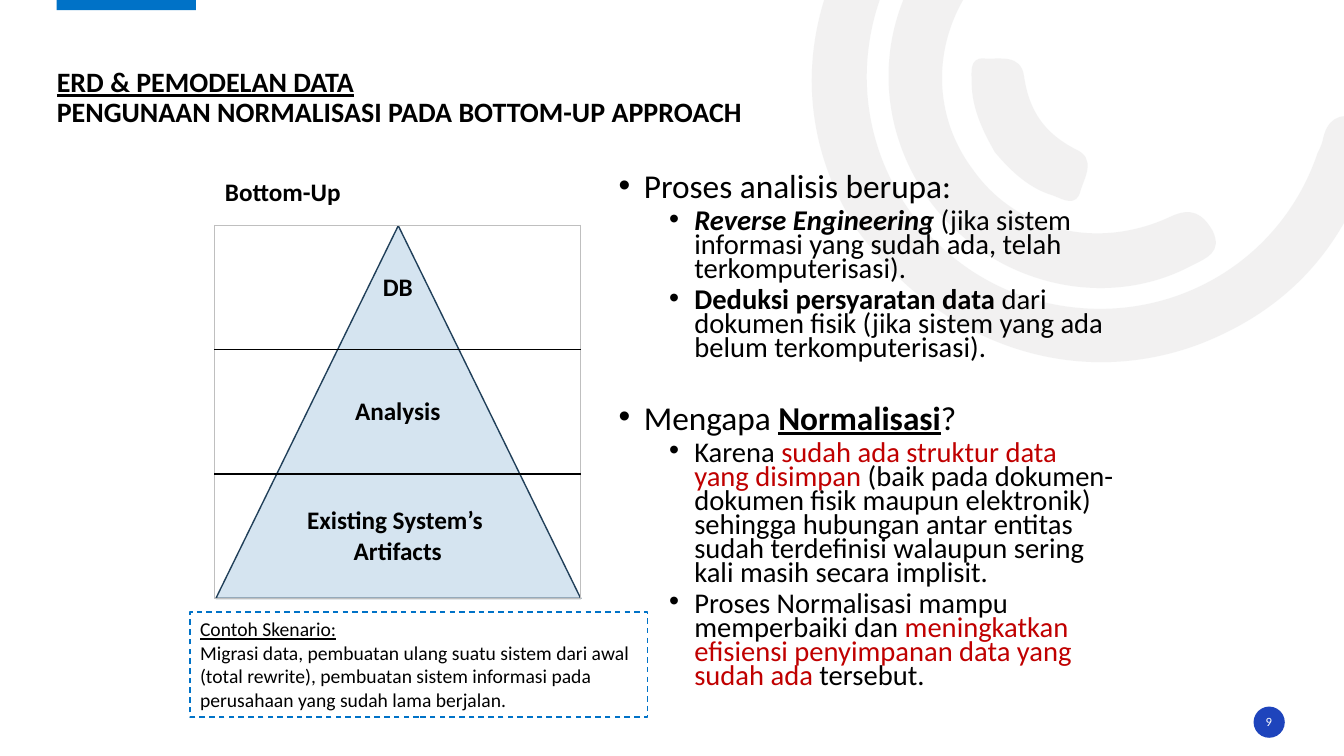
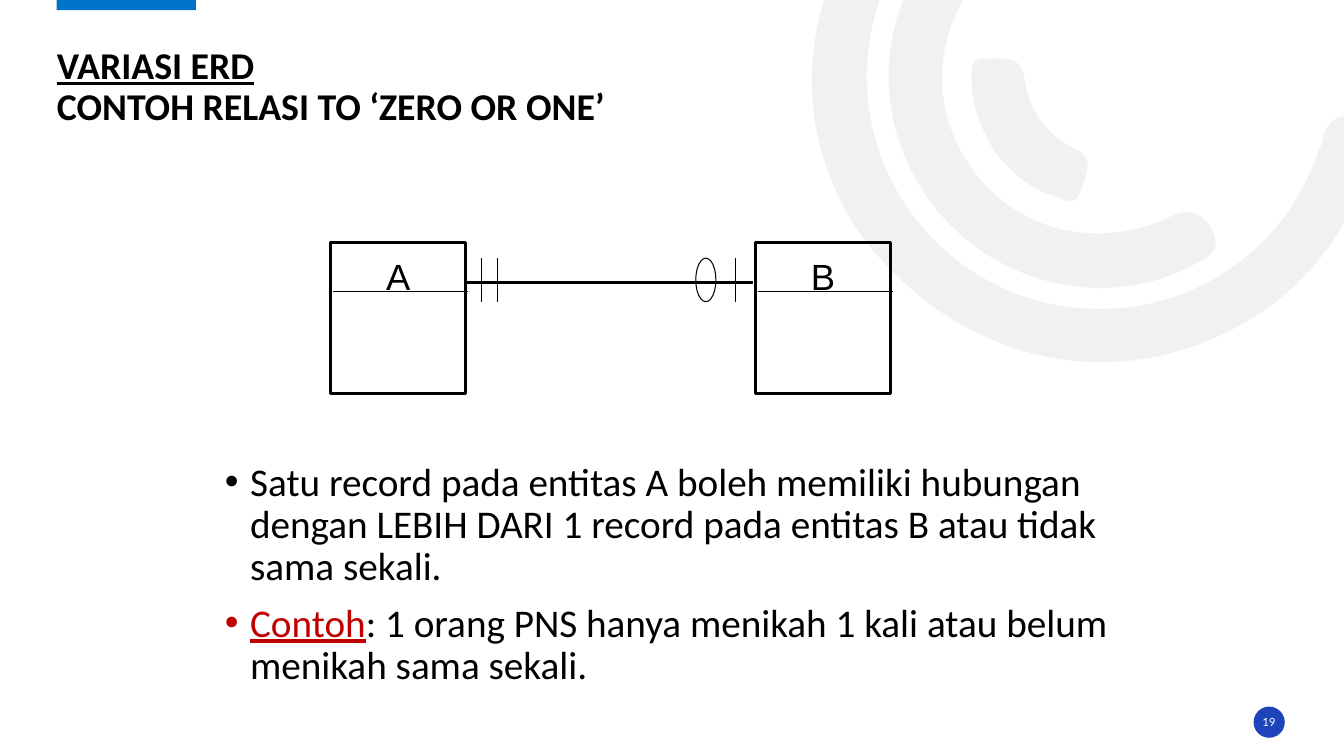
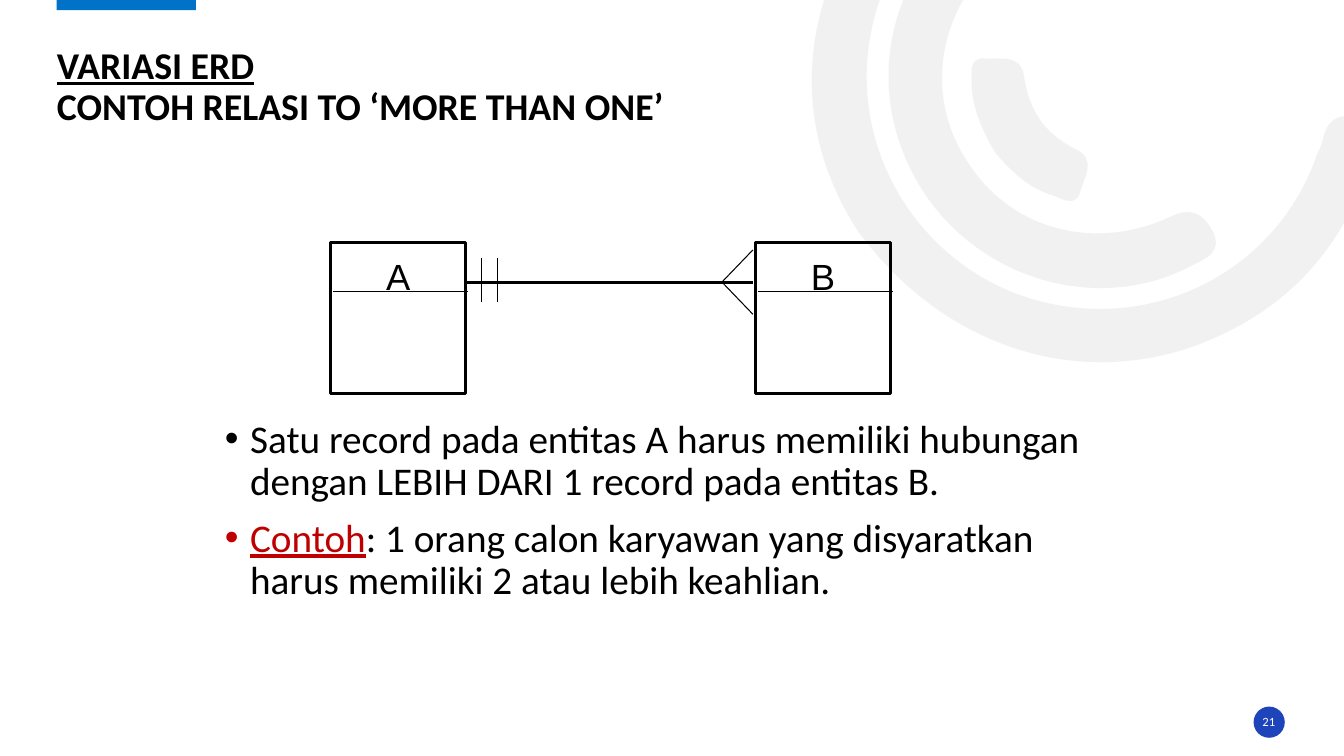
"""Build three lecture slides on data modelling and ERD cardinality."""
from copy import deepcopy
from dataclasses import dataclass
from math import cos, radians, sin
from typing import Any, NamedTuple

from lxml import etree
from pptx import Presentation
from pptx.dml.color import RGBColor
from pptx.enum.dml import MSO_LINE
from pptx.enum.shapes import MSO_CONNECTOR, MSO_SHAPE
from pptx.enum.text import MSO_ANCHOR, MSO_AUTO_SIZE, PP_ALIGN
from pptx.oxml.ns import qn
from pptx.util import Pt

BLACK = RGBColor(0x00, 0x00, 0x00)
WHITE = RGBColor(0xFF, 0xFF, 0xFF)
RED = RGBColor(0xC0, 0x00, 0x00)
BLUE = RGBColor(0x00, 0x72, 0xC7)
BADGE_BLUE = RGBColor(0x1E, 0x44, 0xBC)
RING_GRAY = RGBColor(0xE7, 0xE6, 0xE6)
PALE_BLUE = RGBColor(0xD5, 0xE4, 0xF0)
NAVY = RGBColor(0x21, 0x40, 0x5A)
BORDER_GRAY = RGBColor(0xBF, 0xBF, 0xBF)

RECTANGLE, ELLIPSE, TRIANGLE = MSO_SHAPE.RECTANGLE, MSO_SHAPE.OVAL, MSO_SHAPE.ISOSCELES_TRIANGLE
STRAIGHT, DASH = MSO_CONNECTOR.STRAIGHT, MSO_LINE.DASH
NO_AUTOFIT, FIT_SHAPE = MSO_AUTO_SIZE.NONE, MSO_AUTO_SIZE.SHAPE_TO_FIT_TEXT
TOP, MIDDLE, BOTTOM = MSO_ANCHOR.TOP, MSO_ANCHOR.MIDDLE, MSO_ANCHOR.BOTTOM
LEFT, CENTER = PP_ALIGN.LEFT, PP_ALIGN.CENTER

TITLE_ONLY = 5
FONT, ENTITY_FONT = "Calibri", "Arial"
POINTS_PER_INCH = 72
RING_OPACITY = "53000"
RING_ROTATION = 144.2
THIN, THICK = 0.75, 2.25
NO_MARGINS = dict.fromkeys(("margin_left", "margin_top", "margin_right", "margin_bottom"), 0)


class Box(NamedTuple):
    """A rectangle in points."""
    left: float
    top: float
    width: float
    height: float

    def lengths(self) -> tuple:
        """Return the four values as lengths."""
        return tuple(Pt(value) for value in self)


class Segment(NamedTuple):
    """A straight line in points."""
    start_x: float
    start_y: float
    end_x: float
    end_y: float
    width: float = THIN


class Ring(NamedTuple):
    """A rotated outline: its unrotated box, and its drawn cubic curves in inches."""
    box: Box
    start: tuple
    curves: tuple


@dataclass(frozen=True)
class Words:
    """A stretch of text with one look."""
    text: str
    bold: bool = False
    italic: bool = False
    underline: bool = False
    color: RGBColor = BLACK


@dataclass(frozen=True)
class Bullet:
    """A bulleted paragraph."""
    words: tuple[Words, ...]
    size: float = 28
    level: int = 0
    spacing: float = 0.9
    before: float = 10


@dataclass(frozen=True)
class RelationSlide:
    """One slide showing a relation between two entities."""
    number: str
    title: str
    body: Box
    bullets: tuple[Bullet, ...]
    marks: tuple[Segment, ...]
    circle: Box | None = None


BAND = Box(40.5, -1.4, 99.4, 8.6)
BADGE = Box(895.4, 504.7, 22.3, 22.3)
BADGE_TEXT = Box(894.8, 508.3, 23, 14.4)
TITLE = Box(40.6, 19.4, 877.7, 72.7)
PYRAMID = Box(154.2, 161.2, 260.6, 266.2)
PYRAMID_TABLE = Box(153.4, 161, 261.4, 266.4)
ENTITY_TOP, ENTITY_WIDTH, ENTITY_HEIGHT = 173.5, 96.5, 107.3
ENTITIES = {"A": 236.2, "B": 539.7}
HEADER_Y = 207.9
RELATION_Y, TICK_TOP, TICK_BOTTOM = 201.5, 184.4, 215.5
RELATION_END = 537.8
CROW_X, CROW_SPREAD = 515.7, 23

RINGS = (
    Ring(Box(585.4, -145.4, 349.2, 432), (8.51, 2.29), (
        (7.99, 1.49, 7.87, 0.5, 8.38, -0.5), (8.9, -1.52, 9.76, -2.03, 10.9, -2.07),
        (11.05, -2.07, 11.21, -2.1, 11.31, -1.95), (11.44, -1.75, 11.27, -1.54, 10.98, -1.54),
        (9.67, -1.54, 8.65, -0.59, 8.6, 0.68), (8.56, 1.81, 9.36, 2.81, 10.46, 3.02),
        (11.6, 3.24, 12.7, 2.61, 13.07, 1.52), (13.09, 1.48, 13.11, 1.44, 13.12, 1.4),
        (13.16, 1.19, 13.27, 1.11, 13.49, 1.17), (13.73, 1.24, 13.67, 1.41, 13.61, 1.56),
        (13.34, 2.45, 12.78, 3.07, 11.91, 3.41), (10.7, 3.87, 9.36, 3.45, 8.51, 2.29))),
    Ring(Box(648.7, -56.2, 153.4, 306.7), (9.22, 1.99), (
        (8.62, 1.15, 8.69, 0.07, 9.4, -0.68), (9.51, -0.79, 9.62, -0.95, 9.8, -0.78),
        (9.95, -0.64, 9.97, -0.5, 9.79, -0.32), (9.25, 0.26, 9.2, 1.08, 9.65, 1.68),
        (10.08, 2.29, 10.88, 2.49, 11.61, 2.15), (11.82, 2.05, 11.93, 2.12, 12.03, 2.29),
        (12.13, 2.5, 11.97, 2.56, 11.83, 2.63), (10.96, 3.1, 9.83, 2.82, 9.22, 1.99))),
    Ring(Box(705.6, 26.6, 56.2, 131.8), (9.87, 1.51), (
        (9.75, 1.3, 9.64, 1.07, 9.64, 0.82), (9.64, 0.73, 9.61, 0.57, 9.76, 0.58),
        (9.92, 0.59, 10.13, 0.53, 10.16, 0.76), (10.21, 1.1, 10.36, 1.32, 10.67, 1.48),
        (10.88, 1.57, 10.76, 1.76, 10.72, 1.89), (10.68, 2.06, 10.55, 1.98, 10.45, 1.94),
        (10.21, 1.87, 10.03, 1.7, 9.87, 1.51))),
)

MAIN_POINT = {"size": 23.8, "spacing": 0.7}
SUB_POINT = {"size": 20.4, "level": 1, "spacing": 0.7, "before": 5}
NORMALISATION_BULLETS = (
    Bullet((Words("Proses analisis berupa:"),), **MAIN_POINT),
    Bullet((Words("Reverse Engineering ", bold=True, italic=True),
            Words("(jika sistem informasi yang sudah ada, telah terkomputerisasi).")), **SUB_POINT),
    Bullet((Words("Deduksi persyaratan data ", bold=True),
            Words("dari dokumen fisik (jika sistem yang ada belum terkomputerisasi).")), **SUB_POINT),
    Bullet((Words("Mengapa "), Words("Normalisasi", bold=True, underline=True), Words("?")),
           before=32.4, **MAIN_POINT),
    Bullet((Words("Karena "), Words("sudah ada struktur data yang disimpan ", color=RED),
            Words("(baik pada dokumen-dokumen fisik maupun elektronik) sehingga hubungan antar "
                  "entitas sudah terdefinisi walaupun sering kali masih secara implisit.")), **SUB_POINT),
    Bullet((Words("Proses Normalisasi mampu memperbaiki dan "),
            Words("meningkatkan efisiensi penyimpanan data yang sudah ada", color=RED),
            Words(" tersebut.")), **SUB_POINT),
)
EXAMPLE = Words("Contoh", underline=True, color=RED)
RELATION_SLIDES = (
    RelationSlide(
        "19", "CONTOH RELASI TO ‘ZERO OR ONE’", Box(153.6, 326.7, 648, 158.4),
        (Bullet((Words("Satu record pada entitas A boleh memiliki hubungan dengan LEBIH DARI 1 "
                       "record pada entitas B atau tidak sama sekali."),)),
         Bullet((EXAMPLE, Words(": 1 orang PNS hanya menikah 1 kali atau belum menikah sama sekali.")))),
        (Segment(525.6, TICK_TOP, 525.6, TICK_BOTTOM),),
        Box(497, TICK_TOP, 14.4, TICK_BOTTOM - TICK_TOP)),
    RelationSlide(
        "21", "CONTOH RELASI TO ‘MORE THAN ONE’", Box(153.6, 296.1, 648, 189.4),
        (Bullet((Words("Satu record pada entitas A harus memiliki hubungan dengan LEBIH DARI 1 "
                       "record pada entitas B."),)),
         Bullet((EXAMPLE, Words(": 1 orang calon karyawan yang disyaratkan harus memiliki 2 atau "
                                "lebih keahlian.")))),
        tuple(Segment(CROW_X, RELATION_Y, RELATION_END, RELATION_Y + spread)
              for spread in (-CROW_SPREAD, CROW_SPREAD))),
)


def apply_format(target: Any, values: dict[str, Any]) -> None:
    """Set each named attribute on the target."""
    for name, value in values.items():
        setattr(target, name, value)


def place(shape: Any, box: Box) -> None:
    """Move and size a shape."""
    apply_format(shape, dict(zip(("left", "top", "width", "height"), box.lengths())))


def add_words(paragraph: Any, words: Words, size: float, font: str = FONT) -> Any:
    """Append a formatted run to a paragraph."""
    run = paragraph.add_run()
    run.text = words.text
    apply_format(run.font, {"name": font, "size": Pt(size), "bold": words.bold,
                            "italic": words.italic, "underline": words.underline})
    run.font.color.rgb = words.color
    return run


def write_lines(frame: Any, lines: tuple[Words, ...], size: float,
                align: PP_ALIGN = LEFT, font: str = FONT) -> None:
    """Write one paragraph for each line."""
    for index, words in enumerate(lines):
        paragraph = frame.add_paragraph() if index else frame.paragraphs[0]
        paragraph.alignment = align
        add_words(paragraph, words, size, font)


def style_shape(shape: Any, fill: RGBColor | None = None, line: RGBColor | None = None,
                width: float = 1) -> Any:
    """Give a shape its fill and line, without a shadow."""
    shape.shadow.inherit = False
    for part, color in ((shape.fill, fill), (shape.line.fill, line)):
        if color is None:
            part.background()
        else:
            part.solid()
            part.fore_color.rgb = color
    if line is not None:
        shape.line.width = Pt(width)
    return shape


def add_segment(slide: Any, segment: Segment) -> None:
    """Draw a black straight line."""
    ends = (Pt(value) for value in segment[:4])
    connector = slide.shapes.add_connector(STRAIGHT, *ends)
    connector.line.color.rgb = BLACK
    connector.line.width = Pt(segment.width)
    etree.SubElement(connector.element.spPr, qn("a:effectLst"))


def unrotate(box: Box, x: float, y: float) -> tuple:
    """Turn a drawn point in inches back into lengths inside the unrotated box."""
    angle = radians(-RING_ROTATION)
    across = x * POINTS_PER_INCH - box.left - box.width / 2
    down = y * POINTS_PER_INCH - box.top - box.height / 2
    return (Pt(across * cos(angle) - down * sin(angle) + box.width / 2),
            Pt(across * sin(angle) + down * cos(angle) + box.height / 2))


def add_ring(slide: Any, ring: Ring) -> Any:
    """Draw a translucent ring part with curved edges."""
    start = unrotate(ring.box, *ring.start)
    curves = [[unrotate(ring.box, *curve[index:index + 2]) for index in (0, 2, 4)]
              for curve in ring.curves]
    builder = slide.shapes.build_freeform(*start)
    builder.add_line_segments([curve[-1] for curve in curves], close=True)
    shape = style_shape(builder.convert_to_shape(), RING_GRAY)
    place(shape, ring.box)
    shape.rotation = RING_ROTATION
    outline = next(shape.element.iter(qn("a:path")))
    outline.set("w", str(shape.width))
    outline.set("h", str(shape.height))
    for step in list(outline):
        outline.remove(step)
    for kind, points in [("moveTo", [start])] + [("cubicBezTo", curve) for curve in curves]:
        step = etree.SubElement(outline, qn(f"a:{kind}"))
        for x, y in points:
            etree.SubElement(step, qn("a:pt"), x=str(x), y=str(y))
    etree.SubElement(outline, qn("a:close"))
    color = shape.element.spPr.find(qn("a:solidFill"))[0]
    etree.SubElement(color, qn("a:alpha"), val=RING_OPACITY)
    return shape


def build_backdrop(slide: Any) -> None:
    """Draw the rings, band and badge and move them to the slide's layout."""
    layout_shapes = slide.slide_layout.shapes.element
    for placeholder in list(slide.slide_layout.placeholders):
        if placeholder.placeholder_format.idx:
            layout_shapes.remove(placeholder.element)
    backdrop = [add_ring(slide, ring) for ring in RINGS]
    for kind, box, fill in ((RECTANGLE, BAND, BLUE), (ELLIPSE, BADGE, BADGE_BLUE)):
        backdrop.append(style_shape(slide.shapes.add_shape(kind, *box.lengths()), fill))
    for shape in backdrop:
        layout_shapes.append(shape.element)


def add_heading(slide: Any, topic: str, heading: str, size: float, number: str) -> None:
    """Fill the title placeholder and add the slide number."""
    title = slide.shapes.title
    place(title, TITLE)
    frame = title.text_frame
    apply_format(frame, {**NO_MARGINS, "vertical_anchor": BOTTOM, "word_wrap": True,
                         "auto_size": NO_AUTOFIT})
    paragraph = frame.paragraphs[0]
    apply_format(paragraph, {"alignment": LEFT, "line_spacing": 0.9})
    run = add_words(paragraph, Words(topic, bold=True, underline=True), size)
    paragraph.add_line_break()
    paragraph._p.find(qn("a:br")).append(deepcopy(run._r.rPr))
    add_words(paragraph, Words(heading, bold=True), size)

    frame = slide.shapes.add_textbox(*BADGE_TEXT.lengths()).text_frame
    apply_format(frame, {**NO_MARGINS, "vertical_anchor": MIDDLE, "word_wrap": True})
    write_lines(frame, (Words(number, color=WHITE),), 9, CENTER)


def add_bullets(slide: Any, box: Box, bullets: tuple[Bullet, ...]) -> None:
    """Add a text box of bulleted paragraphs."""
    frame = slide.shapes.add_textbox(*box.lengths()).text_frame
    frame.word_wrap = True
    for index, bullet in enumerate(bullets):
        paragraph = frame.add_paragraph() if index else frame.paragraphs[0]
        apply_format(paragraph, {"level": bullet.level, "line_spacing": bullet.spacing,
                                 "space_before": Pt(bullet.before)})
        properties = paragraph._p.get_or_add_pPr()
        properties.set("marL", str(Pt(18 + 36 * bullet.level)))
        properties.set("indent", str(Pt(-18)))
        etree.SubElement(properties, qn("a:buFont"), typeface="Arial")
        etree.SubElement(properties, qn("a:buChar"), char="•")
        for words in bullet.words:
            add_words(paragraph, words, bullet.size)


def set_borders(cell: Any, colors: dict[str, RGBColor]) -> None:
    """Draw one-point borders on the named sides of a cell."""
    properties = cell._tc.get_or_add_tcPr()
    for index, (side, color) in enumerate(colors.items()):
        line = etree.Element(qn(f"a:ln{side}"), w=str(Pt(1)))
        fill = etree.SubElement(line, qn("a:solidFill"))
        etree.SubElement(fill, qn("a:srgbClr"), val=str(color))
        properties.insert(index, line)


def add_pyramid(slide: Any) -> None:
    """Draw the triangle under a three-row table."""
    style_shape(slide.shapes.add_shape(TRIANGLE, *PYRAMID.lengths()), PALE_BLUE, NAVY)
    rows = (("DB",), ("Analysis",), ("Existing System’s ", "Artifacts"))
    table = slide.shapes.add_table(len(rows), 1, *PYRAMID_TABLE.lengths()).table
    apply_format(table, {"first_row": False, "horz_banding": False})
    for index, lines in enumerate(rows):
        cell = table.cell(index, 0)
        cell.fill.background()
        cell.vertical_anchor = MIDDLE
        write_lines(cell.text_frame, tuple(Words(line, bold=True) for line in lines), 18, CENTER)
        set_borders(cell, {"L": BORDER_GRAY, "R": BORDER_GRAY,
                           "T": BLACK if index else BORDER_GRAY,
                           "B": BLACK if index < len(rows) - 1 else BORDER_GRAY})


def build_normalisation(slide: Any) -> None:
    """Build the bottom-up normalisation slide."""
    add_heading(slide, "ERD & PEMODELAN DATA", "PENGUNAAN NORMALISASI PADA BOTTOM-UP APPROACH", 20, "9")
    add_bullets(slide, Box(434.9, 122.6, 369.4, 381.6), NORMALISATION_BULLETS)
    add_pyramid(slide)
    label = slide.shapes.add_textbox(*Box(153.6, 122.4, 98.6, 28.8).lengths()).text_frame
    label.word_wrap = False
    write_lines(label, (Words("Bottom-Up", bold=True),), 18)
    scenario = slide.shapes.add_shape(RECTANGLE, *Box(135.8, 437.3, 326.9, 74.9).lengths())
    style_shape(scenario, WHITE, BLUE).line.dash_style = DASH
    apply_format(scenario.text_frame, {"word_wrap": True, "vertical_anchor": TOP,
                                       "auto_size": FIT_SHAPE})
    write_lines(scenario.text_frame, (
        Words("Contoh Skenario:", underline=True),
        Words("Migrasi data, pembuatan ulang suatu sistem dari awal (total rewrite), pembuatan "
              "sistem informasi pada perusahaan yang sudah lama berjalan.")), 14)


def add_entity(slide: Any, name: str, left: float) -> None:
    """Draw an entity box with its name above a header line."""
    box = Box(left, ENTITY_TOP, ENTITY_WIDTH, ENTITY_HEIGHT)
    entity = style_shape(slide.shapes.add_shape(RECTANGLE, *box.lengths()), None, BLACK, THICK)
    apply_format(entity.text_frame, {"vertical_anchor": TOP, "margin_top": Pt(8), "word_wrap": False})
    write_lines(entity.text_frame, (Words(name),), 26, CENTER, ENTITY_FONT)
    add_segment(slide, Segment(left + 2, HEADER_Y, left + ENTITY_WIDTH + 1.5, HEADER_Y))


def build_relation(slide: Any, content: RelationSlide) -> None:
    """Build a slide with two related entities and their explanation."""
    add_heading(slide, "VARIASI ERD", content.title, 27, content.number)
    add_bullets(slide, content.body, content.bullets)
    add_segment(slide, Segment(332.6, RELATION_Y, RELATION_END, RELATION_Y, THICK))
    ticks = tuple(Segment(x, TICK_TOP, x, TICK_BOTTOM) for x in (344.2, 355.3))
    for segment in ticks + content.marks:
        add_segment(slide, segment)
    if content.circle:
        circle = slide.shapes.add_shape(ELLIPSE, *content.circle.lengths())
        style_shape(circle, None, BLACK, THIN)
    for name, left in ENTITIES.items():
        add_entity(slide, name, left)


def main() -> None:
    """Create and save the presentation."""
    presentation = Presentation()
    apply_format(presentation, {"slide_width": Pt(960), "slide_height": Pt(540)})
    layout = presentation.slide_layouts[TITLE_ONLY]
    first_slide = presentation.slides.add_slide(layout)
    build_backdrop(first_slide)
    build_normalisation(first_slide)
    for content in RELATION_SLIDES:
        build_relation(presentation.slides.add_slide(layout), content)
    presentation.save("out.pptx")


if __name__ == "__main__":
    main()
